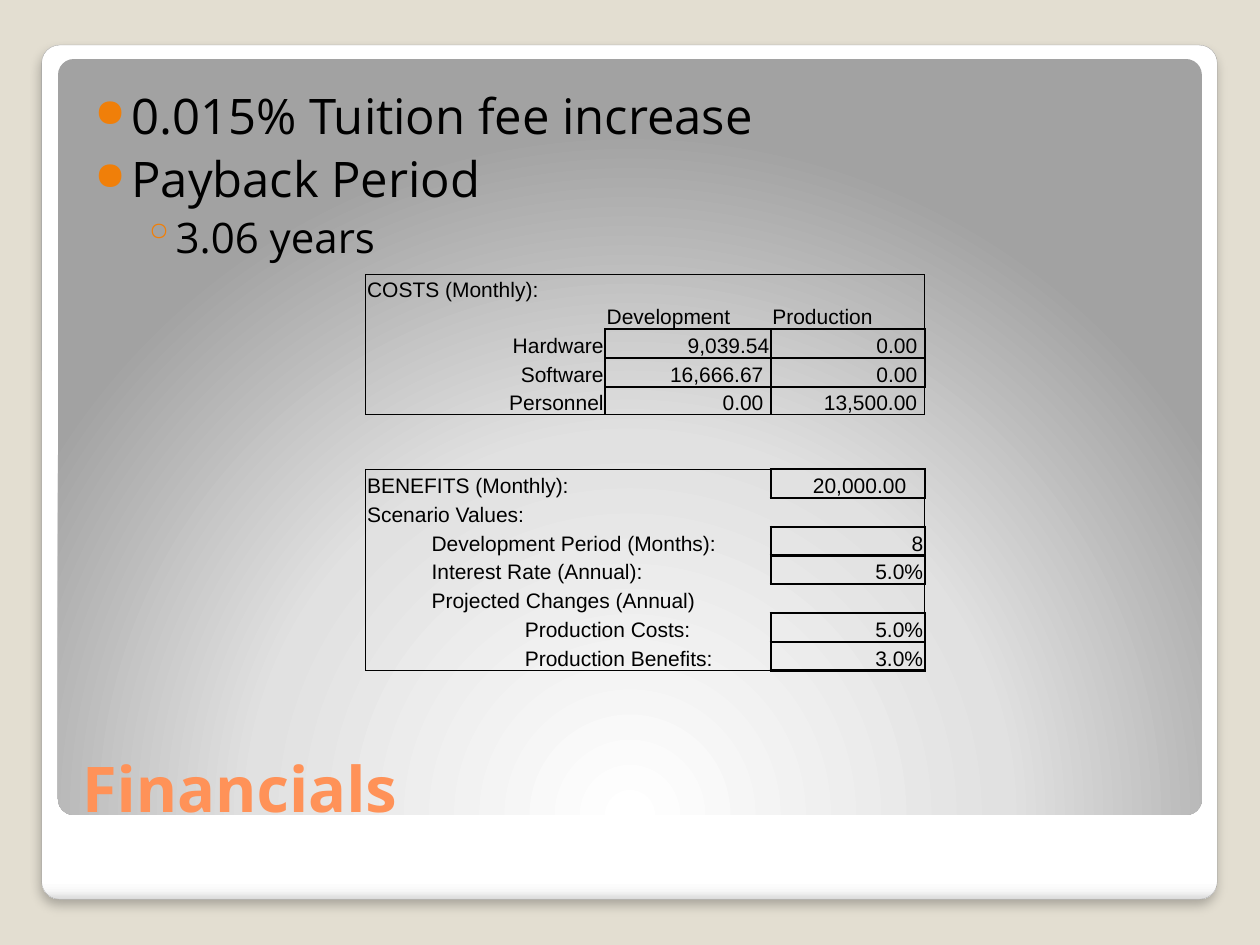
"""Build the Financials slide: bullets, costs and benefits table, and title."""
from lxml import etree
from pptx import Presentation
from pptx.dml.color import RGBColor as RGB
from pptx.enum.shapes import MSO_SHAPE as SHAPE
from pptx.enum.text import MSO_ANCHOR as ANCHOR, PP_ALIGN as ALIGN
from pptx.oxml import parse_xml
from pptx.oxml.ns import qn
from pptx.util import Cm, Pt

HUE = {"back": "E3DED1", "edge": "A4A4A4", "title": "FF9258", "bullet": "F07F09", "ink": "000000"}
NS = 'xmlns:a="http://schemas.openxmlformats.org/drawingml/2006/main"'
NO_GRID = "{2D5ABB26-0587-4C30-8999-92F81FD0307C}"

TITLE = "Financials"
BULLETS = [
    ("0.015% Tuition fee increase", 0),
    ("Payback Period", 0),
    ("3.06 years", 1),
]
LEVELS = [
    {"size": 28, "left": 0.74, "hang": 0.74, "mark": "●", "scale": 80},
    {"size": 24, "left": 1.52, "hang": 0.56, "mark": "◦", "scale": 100},
]

ROWS = [
    ("COSTS (Monthly):", "", ""),
    ("", "Development", "Production"),
    ("Hardware", "9,039.54", "0.00"),
    ("Software", "16,666.67", "0.00"),
    ("Personnel", "0.00", "13,500.00"),
    ("", "", ""),
    ("", "", ""),
    ("BENEFITS (Monthly):", "", "20,000.00"),
    ("Scenario Values:", "", ""),
    ("Development Period (Months):", "", "8"),
    ("Interest Rate (Annual):", "", "5.0%"),
    ("Projected Changes (Annual)", "", ""),
    ("Production Costs:", "", "5.0%"),
    ("Production Benefits:", "", "3.0%"),
]
WIDTHS = [4.83, 2.72, 3.1]
HEIGHTS = [0.53, 0.56, 0.58, 0.58, 0.56, 0.53, 0.56] + [0.58] * 7
COSTS, BENEFITS = range(0, 5), range(7, 14)
LABELS = range(2, 5)
MERGED = range(9, 14)
INDENTS = {9: 1.3, 10: 1.3, 11: 1.3, 12: 3.18, 13: 3.18}
BOXES = {(r, c): 1 if r == 4 else 1.5 for r in LABELS for c in (1, 2)}
BOXES.update({(r, 2): 1.5 for r in (7, 9, 10, 12, 13)})
PADS = {(r, c): 0.15 for r in LABELS for c in (1, 2) if (r, c) != (2, 1)}
PADS[7, 2] = 0.37
SIDES = {"lnL": (0, -1), "lnR": (0, 1), "lnT": (-1, 0), "lnB": (1, 0)}


def style(para, size, face, hue, bold=False):
    font = para.font
    font.size, font.name, font.bold = Pt(size), face, bold
    font.color.rgb = RGB.from_string(HUE[hue])


def panel(slide, box, stops, way):
    shape = slide.shapes.add_shape(SHAPE.ROUNDED_RECTANGLE, *map(Cm, box))
    shape.adjustments[0] = 0.021
    shape.shadow.inherit = False
    shape.line.fill.background()
    shape.fill.gradient()
    grad = shape._element.spPr.find(qn("a:gradFill"))
    for part in list(grad):
        grad.remove(part)
    marks = "".join(f'<a:gs pos="{at * 1000}"><a:srgbClr val="{hue}"/></a:gs>' for at, hue in stops)
    grad.append(parse_xml(f"<a:gsLst {NS}>{marks}</a:gsLst>"))
    grad.append(parse_xml(way))
    return shape


def block(row, col):
    if not 0 <= col < len(WIDTHS):
        return None
    return next((b for b in (COSTS, BENEFITS) if row in b), None)


def weight(here, there):
    boxed = [BOXES[cell] for cell in (here, there) if cell in BOXES]
    if boxed:
        return min(boxed)
    return 0.5 if block(*here) != block(*there) else 0


def border(cell, row, col):
    props = cell._tc.get_or_add_tcPr()
    for n, (tag, (down, over)) in enumerate(SIDES.items()):
        wide = weight((row, col), (row + down, col + over))
        fill = f'<a:solidFill><a:srgbClr val="{HUE["ink"]}"/></a:solidFill>' if wide else "<a:noFill/>"
        props.insert(n, parse_xml(f'<a:{tag} {NS} w="{int(wide * 12700)}">{fill}</a:{tag}>'))


def add_bullets(slide):
    box = slide.shapes.add_textbox(Cm(1.4), Cm(1.47), Cm(22.73), Cm(11.63))
    frame = box.text_frame
    frame.word_wrap = True
    frame.margin_left, frame.margin_top = Cm(0.51), Cm(0.25)
    for n, (text, deep) in enumerate(BULLETS):
        para = frame.add_paragraph() if n else frame.paragraphs[0]
        look = LEVELS[deep]
        para.text, para.level, para.space_before = text, deep, Pt(2.5)
        style(para, look["size"], "Open Sans", "ink")
        props = para._p.get_or_add_pPr()
        props.set("marL", str(Cm(look["left"])))
        props.set("indent", str(-Cm(look["hang"])))
        marks = (
            f'<a:buClr {NS}><a:srgbClr val="{HUE["bullet"]}"/></a:buClr>',
            f'<a:buSzPct {NS} val="{look["scale"] * 1000}"/>',
            f'<a:buChar {NS} char="{look["mark"]}"/>',
        )
        last = props.find(qn("a:defRPr"))
        for mark in marks:
            last.addprevious(parse_xml(mark))


def add_grid(slide):
    frame = slide.shapes.add_table(len(ROWS), len(WIDTHS), Cm(7.37), Cm(5.54),
                                   Cm(sum(WIDTHS)), Cm(sum(HEIGHTS)))
    grid = frame.table
    grid.first_row = grid.horz_banding = False
    grid._tbl.tblPr.find(qn("a:tableStyleId")).text = NO_GRID
    for col, wide in zip(grid.columns, WIDTHS):
        col.width = Cm(wide)
    for r, (line, high) in enumerate(zip(ROWS, HEIGHTS)):
        grid.rows[r].height = Cm(high)
        for c, text in enumerate(line):
            cell = grid.cell(r, c)
            cell.fill.background()
            cell.vertical_anchor = ANCHOR.BOTTOM
            cell.margin_left = Cm(INDENTS.get(r, 0) + 0.03 if c == 0 else 0.03)
            cell.margin_right = Cm(PADS.get((r, c), 0.03))
            cell.margin_top, cell.margin_bottom = Cm(0.03), 0
            para = cell.text_frame.paragraphs[0]
            if text:
                para.text = text
            else:
                para._p.get_or_add_endParaRPr().set("sz", "1200")
            style(para, 12, "Arial", "ink")
            right = (r, c) in BOXES or (c == 0 and r in LABELS)
            para.alignment = ALIGN.RIGHT if right else ALIGN.LEFT
            border(cell, r, c)
    for r in MERGED:
        grid.cell(r, 0).merge(grid.cell(r, 1))


def main():
    deck = Presentation()
    deck.slide_width, deck.slide_height = Cm(25.4), Cm(19.05)
    slide = deck.slides.add_slide(deck.slide_layouts[5])
    back = slide.background.fill
    back.solid()
    back.fore_color.rgb = RGB.from_string(HUE["back"])

    card = panel(slide, (0.84, 0.91, 23.7, 17.22),
                 [(0, "FFFFFF"), (98, "FFFFFF"), (99, "F7F7F7"), (100, "DADADA")],
                 f'<a:lin {NS} ang="5400000" scaled="0"/>')
    card.line.color.rgb = RGB.from_string(HUE["edge"])
    card.line.width = Pt(0.16)
    glow = card._element.spPr.find(qn("a:effectLst"))
    shade = etree.SubElement(glow, qn("a:outerShdw"), blurRad=str(Pt(6)), dist=str(Pt(4)),
                             dir="5400000", algn="t", rotWithShape="0")
    tint = etree.SubElement(shade, qn("a:srgbClr"), val=HUE["ink"])
    etree.SubElement(tint, qn("a:alpha"), val="25000")
    panel(slide, (1.17, 1.19, 23.06, 15.24),
          [(0, "FFFFFF"), (55, "E1E1E1"), (100, "A2A2A2")],
          f'<a:path {NS} path="circle"><a:fillToRect l="50000" t="175000" r="50000" b="-75000"/></a:path>')

    title = slide.shapes.title
    title.left, title.top, title.width, title.height = map(Cm, (1.4, 13.84, 22.73, 2.92))
    title.text_frame.text = TITLE
    title.text_frame.vertical_anchor = ANCHOR.BOTTOM
    para = title.text_frame.paragraphs[0]
    para.alignment = ALIGN.LEFT
    style(para, 36, "Open Sans", "title", True)
    slide.shapes._spTree.append(title._element)

    add_bullets(slide)
    add_grid(slide)
    deck.save("out.pptx")


main()
